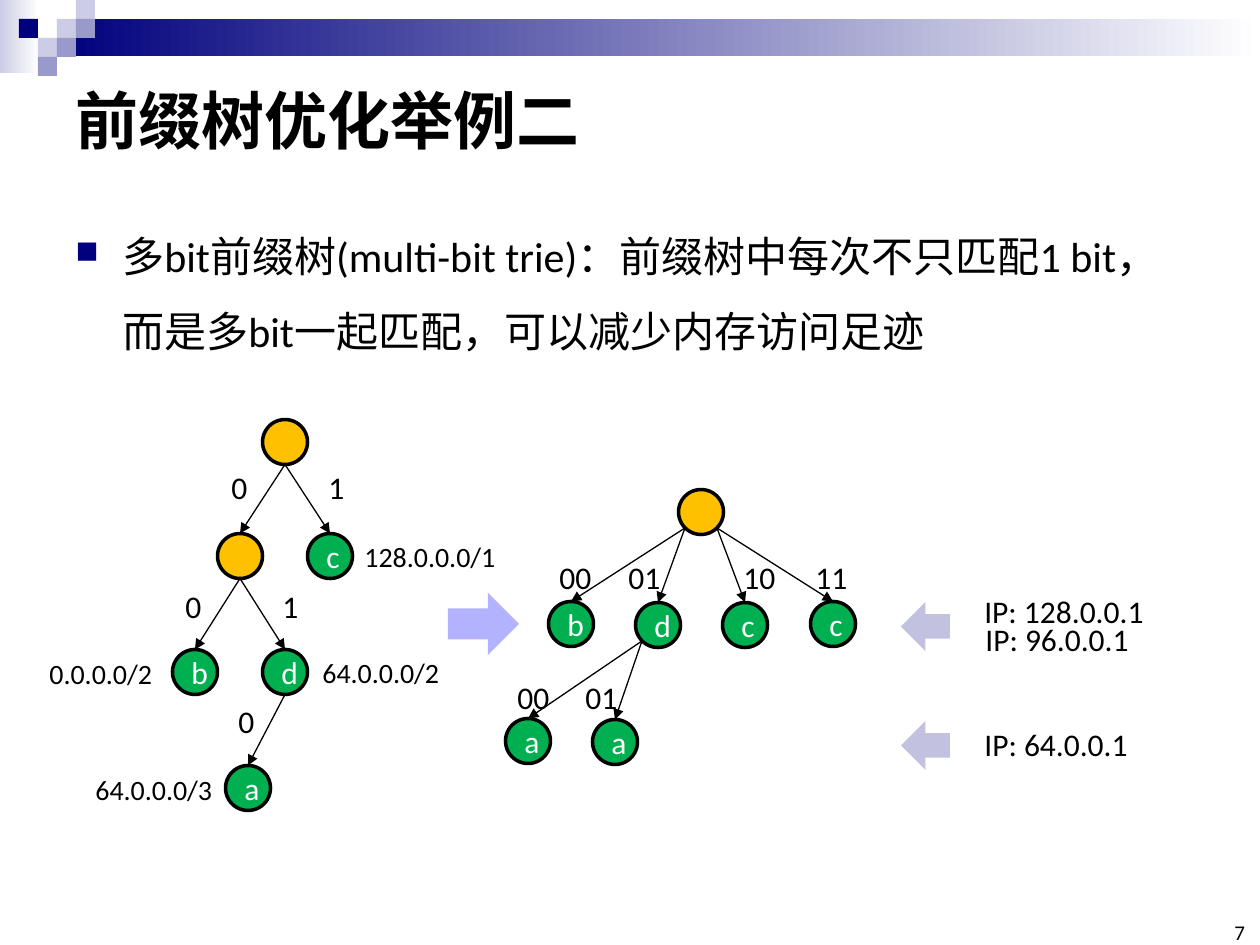
from dataclasses import dataclass

from lxml import etree
from pptx import Presentation
from pptx import util as u
from pptx.dml.color import RGBColor
from pptx.enum import shapes, text
from pptx.oxml import ns

PX = u.Inches(1) / 126
SHAPE = shapes.MSO_SHAPE
ANCHOR = text.MSO_ANCHOR
ALIGN = text.PP_ALIGN


@dataclass(frozen=True)
class Theme:
    font: str = "Calibri"
    black: str = "000000"
    white: str = "FFFFFF"
    navy: str = "00007D"
    mid: str = "9999CC"
    pale: str = "CCCCE6"
    inner: str = "FFC000"
    prefix: str = "00B050"
    step: str = "B2B2FF"
    lookup: str = "C2C2E0"
    title: int = 36
    body: int = 24
    label: int = 18
    address: int = 16
    page: int = 12
    node: int = 45


T = Theme()


def px(n):
    return u.Emu(round(n * PX))


def rgb(value):
    return RGBColor.from_string(value)


def style(p, size, color=T.black, bold=False):
    f = p.font
    f.name, f.size, f.bold = T.font, u.Pt(size), bold
    f.color.rgb = rgb(color)


def add_shape(s, kind, x, y, w, h, color):
    sp = s.shapes.add_shape(kind, px(x), px(y), px(w), px(h))
    sp.shadow.inherit = False
    sp.line.fill.background()
    if isinstance(color, tuple):
        sp.fill.gradient()
        sp.fill.gradient_angle = 0
        for stop, value in zip(sp.fill.gradient_stops, color):
            stop.color.rgb = rgb(value)
    else:
        sp.fill.solid()
        sp.fill.fore_color.rgb = rgb(color)
    return sp


def add_text(s, words, x, y, w, h, size, wrap=False, bold=False):
    tf = s.shapes.add_textbox(px(x), px(y), px(w), px(h)).text_frame
    tf.word_wrap = wrap
    p = tf.paragraphs[0]
    p.text = words
    style(p, size, bold=bold)
    return tf


def add_arrow(s, x1, y1, x2, y2):
    c = s.shapes.add_connector(
        shapes.MSO_CONNECTOR.STRAIGHT, px(x1), px(y1), px(x2), px(y2))
    c.line.width = u.Pt(0.75)
    c.line.color.rgb = rgb(T.black)
    etree.SubElement(c.line._get_or_add_ln(), ns.qn("a:tailEnd"), type="triangle")
    etree.SubElement(c._element.spPr, ns.qn("a:effectLst"))


def add_node(s, cx, cy, name):
    r = T.node / 2
    sp = add_shape(s, SHAPE.OVAL, cx - r, cy - r, T.node, T.node,
                   T.prefix if name else T.inner)
    sp.line.color.rgb = rgb(T.black)
    sp.line.width = u.Pt(2)
    if name:
        tf = sp.text_frame
        tf.vertical_anchor = ANCHOR.MIDDLE
        p = tf.paragraphs[0]
        p.text = name
        p.alignment = ALIGN.CENTER
        style(p, T.label, T.white)


def add_header(s, x, y, w):
    q = 19
    add_shape(s, SHAPE.RECTANGLE, x, y, 39, 73, (T.pale, T.white))
    add_shape(s, SHAPE.RECTANGLE, x + 3 * q, y + q, w - 3 * q, 37, (T.navy, T.white))
    squares = [(3, 1, T.pale), (4, 0, T.pale), (4, 1, T.mid), (2, 2, T.pale),
               (1, 1, T.navy), (3, 2, T.mid), (2, 3, T.mid)]
    for col, row, color in squares:
        add_shape(s, SHAPE.RECTANGLE, x + col * q, y + row * q, q, q, color)


def add_title(s, x, y, w, h):
    tf = add_text(s, "前缀树优化举例二", x, y, w, h, T.title, wrap=True, bold=True)
    tf.vertical_anchor = ANCHOR.MIDDLE


def add_body(s, x, y, w, h):
    words = "多bit前缀树(multi-bit trie)：前缀树中每次不只匹配1 bit，而是多bit一起匹配，可以减少内存访问足迹"
    p = add_text(s, words, x, y, w, h, T.body, wrap=True).paragraphs[0]
    p.line_spacing = 1.5
    pPr = p._p.get_or_add_pPr()
    indent = px(47)
    pPr.set("marL", str(indent))
    pPr.set("indent", str(-indent))
    bullet = [
        f'<a:buClr {ns.nsdecls("a")}><a:srgbClr val="{T.navy}"/></a:buClr>',
        f'<a:buSzPct {ns.nsdecls("a")} val="75000"/>',
        f'<a:buChar {ns.nsdecls("a")} char="■"/>',
    ]
    at = pPr.index(pPr.find(ns.qn("a:defRPr")))
    for i, xml in enumerate(bullet):
        pPr.insert(at + i, etree.fromstring(xml))


def add_tree(s, x, y, nodes, edges, addresses=()):
    r = T.node / 2
    for cx, cy, name in nodes:
        add_node(s, x + cx, y + cy, name)
    for parent, child, port, bits, lx, ly in edges:
        px0, py0, _ = nodes[parent]
        cx, cy, _ = nodes[child]
        drop = 16 if port else r
        add_arrow(s, x + px0 + port * 16, y + py0 + drop, x + cx, y + cy - r)
        add_text(s, bits, x + lx, y + ly, 26 + 16 * len(bits), 50, T.label)
    for words, ax, ay, w in addresses:
        add_text(s, words, x + ax, y + ay, w, 47, T.address)


def add_binary_tree(s, x, y):
    nodes = [(248, 22, ""), (203, 136, ""), (293, 136, "c"),
             (158, 252, "b"), (248, 252, "d"), (211, 368, "a")]
    edges = [(0, 1, 0, "0", 182, 42), (0, 2, 0, "1", 279, 42),
             (1, 3, 0, "0", 136, 161), (1, 4, 0, "1", 233, 161),
             (4, 5, 0, "0", 189, 276)]
    addresses = [("128.0.0.0/1", 315, 113, 158), ("64.0.0.0/2", 273, 229, 144),
                 ("0.0.0.0/2", 0, 230, 130), ("64.0.0.0/3", 46, 346, 144)]
    add_tree(s, x, y, nodes, edges, addresses)


def add_multibit_tree(s, x, y):
    nodes = [(196, 23, ""), (66, 135, "b"), (153, 136, "d"), (240, 136, "c"),
             (328, 135, "c"), (23, 252, "a"), (110, 253, "a")]
    edges = [(0, 1, -1, "00", 42, 63), (0, 2, -1, "01", 111, 63),
             (0, 3, 1, "10", 226, 63), (0, 4, 1, "11", 298, 63),
             (2, 5, -1, "00", 0, 183), (2, 6, -1, "01", 68, 183)]
    add_tree(s, x, y, nodes, edges)


def add_lookups(s, x, y):
    for dy in (16, 135):
        add_shape(s, SHAPE.LEFT_ARROW, x, y + dy, 49, 49, T.lookup)
    for words, dx, dy, w in [("IP: 128.0.0.1", 71, 0, 186),
                             ("IP: 96.0.0.1", 72, 28, 170),
                             ("IP: 64.0.0.1", 71, 133, 170)]:
        add_text(s, words, x + dx, y + dy, w, 50, T.label)


def add_page_number(s, x, y, w, h):
    tf = add_text(s, "7", x, y, w, h, T.page, wrap=True)
    tf.margin_left = tf.margin_right = tf.margin_top = tf.margin_bottom = 0
    tf.vertical_anchor = ANCHOR.BOTTOM
    tf.paragraphs[0].alignment = ALIGN.RIGHT


def main():
    prs = Presentation()
    prs.slide_width, prs.slide_height = px(1260), px(945)
    s = prs.slides.add_slide(prs.slide_layouts[6])
    add_header(s, 0, 0, 1260)
    add_title(s, 63, 63, 1134, 112)
    add_body(s, 63, 199, 1134, 174)
    add_page_number(s, 1216, 924, 29, 21)
    add_binary_tree(s, 37, 420)
    add_multibit_tree(s, 505, 489)
    add_shape(s, SHAPE.RIGHT_ARROW, 448, 593, 71, 62, T.step)
    add_lookups(s, 901, 586)
    prs.save("out.pptx")


if __name__ == "__main__":
    main()
